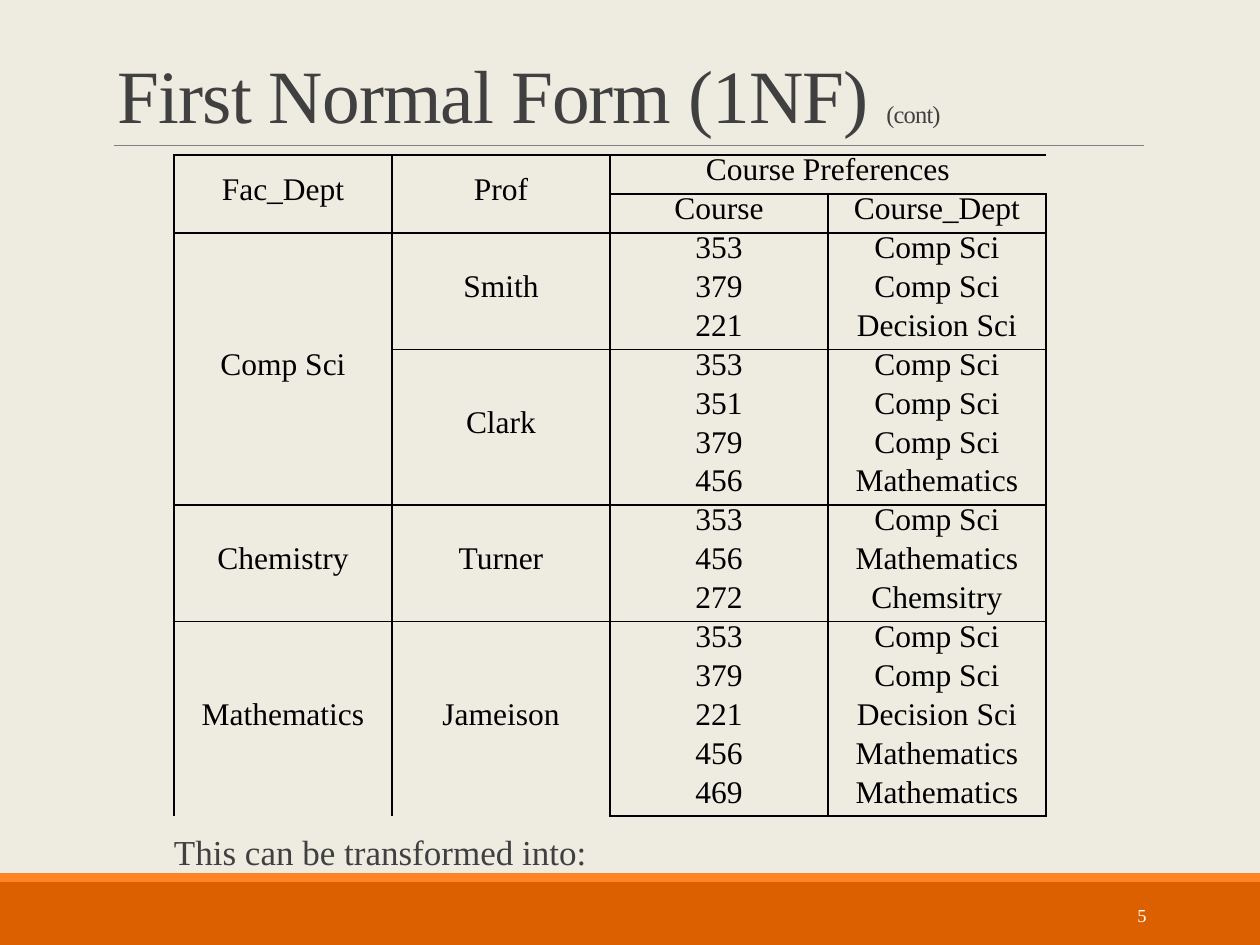
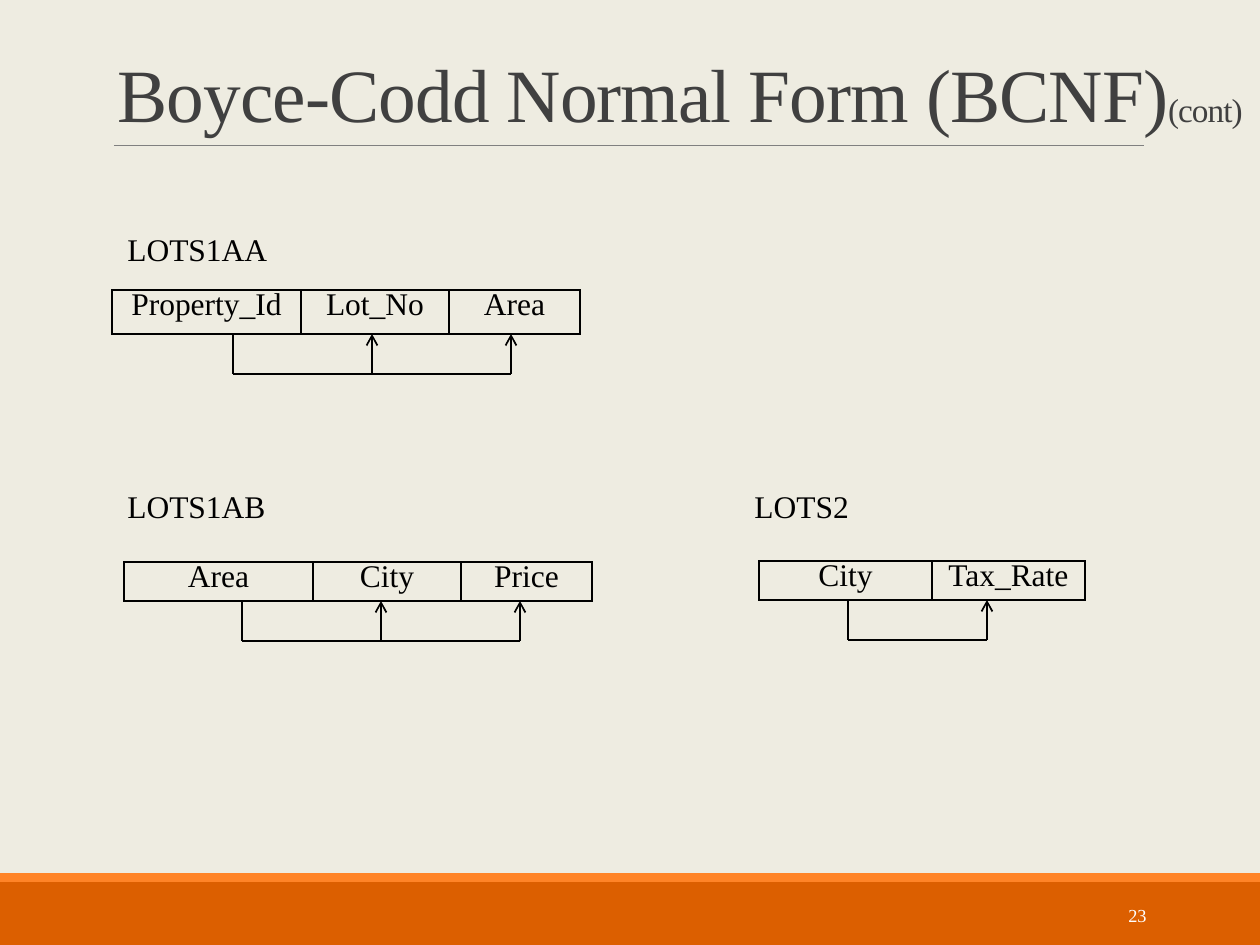
import pptx
import pptx.dml.color
import pptx.enum.shapes
import pptx.enum.text
import pptx.oxml
import pptx.oxml.ns
import pptx.util
from lxml import etree

EMU_PER_PX = 914400 / 126
SLIDE_WIDTH, SLIDE_HEIGHT = 1260, 945
FONT = "Times New Roman"
COLORS = {
    "background": "EEECE1",
    "band": "DC5F00",
    "stripe": "FF8427",
    "rule": "808080",
    "heading": "404040",
    "ink": "000000",
    "number": "FFFFFF",
}
ANCHOR = pptx.enum.text.MSO_ANCHOR
ALIGN = pptx.enum.text.PP_ALIGN
ROW_HEIGHT = 35
WIRE_STEP, WIRE_DROP = 139, 40

PREFERENCES = [
    ("Comp Sci", [
        ("Smith", [("353", "Comp Sci"), ("379", "Comp Sci"), ("221", "Decision Sci")]),
        ("Clark", [("353", "Comp Sci"), ("351", "Comp Sci"), ("379", "Comp Sci"),
                   ("456", "Mathematics")]),
    ]),
    ("Chemistry", [
        ("Turner", [("353", "Comp Sci"), ("456", "Mathematics"), ("272", "Chemsitry")]),
    ]),
    ("Mathematics", [
        ("Jameison", [("353", "Comp Sci"), ("379", "Comp Sci"), ("221", "Decision Sci"),
                      ("456", "Mathematics"), ("469", "Mathematics")]),
    ]),
]

RELATIONS = [
    {"name": "LOTS1AA", "label": (115, 224), "table": (112, 290), "height": 44,
     "fields": [("Property_Id", 189), ("Lot_No", 148), ("Area", 131)], "wire": 121},
    {"name": "LOTS1AB", "label": (115, 481), "table": (124, 562), "height": 39,
     "fields": [("Area", 189), ("City", 148), ("Price", 131)], "wire": 118},
    {"name": "LOTS2", "label": (742, 481), "table": (759, 561), "height": 39,
     "fields": [("City", 173), ("Tax_Rate", 153)], "wire": 89},
]


def px(length):
    return pptx.util.Emu(round(length * EMU_PER_PX))


def px_box(box):
    return [px(length) for length in box]


def color(name):
    return pptx.dml.color.RGBColor.from_string(COLORS[name])


def add_run(paragraph, text, size, color_name):
    run = paragraph.add_run()
    run.text = text
    run.font.name = FONT
    run.font.size = pptx.util.Pt(size)
    run.font.color.rgb = color(color_name)
    return run


def add_text(slide, box, text, size, color_name, align=ALIGN.LEFT, anchor=ANCHOR.TOP):
    text_box = slide.shapes.add_textbox(*px_box(box))
    frame = text_box.text_frame
    frame.word_wrap = True
    frame.vertical_anchor = anchor
    paragraph = frame.paragraphs[0]
    paragraph.alignment = align
    add_run(paragraph, text, size, color_name)
    return text_box


def add_band(slide, box, color_name):
    band = slide.shapes.add_shape(pptx.enum.shapes.MSO_SHAPE.RECTANGLE, *px_box(box))
    band.shadow.inherit = False
    band.fill.solid()
    band.fill.fore_color.rgb = color(color_name)
    band.line.fill.background()


def add_line(shapes, start, end, color_name="ink", width=1, arrow=False):
    line = shapes.add_connector(
        pptx.enum.shapes.MSO_CONNECTOR.STRAIGHT, *px_box(start + end))
    line.line.color.rgb = color(color_name)
    line.line.width = pptx.util.Pt(width)
    if arrow:
        tail = etree.SubElement(line.line._get_or_add_ln(), pptx.oxml.ns.qn("a:tailEnd"))
        tail.set("type", "arrow")
    etree.SubElement(line._element.spPr, pptx.oxml.ns.qn("a:effectLst"))


def add_title(slide, box, heading, suffix, suffix_size):
    title = slide.shapes.title
    title.left, title.top, title.width, title.height = px_box(box)
    frame = title.text_frame
    frame.word_wrap = True
    frame.auto_size = pptx.enum.text.MSO_AUTO_SIZE.NONE
    frame.vertical_anchor = ANCHOR.BOTTOM
    paragraph = frame.paragraphs[0]
    paragraph.alignment = ALIGN.LEFT
    paragraph.line_spacing = 0.85
    for text, size in ((heading, 43), (suffix, suffix_size)):
        run = add_run(paragraph, text, size, "heading")
        run.font._element.set("spc", "-50")


def add_base_slide(presentation, number):
    slide = presentation.slides.add_slide(presentation.slide_layouts.get_by_name("Title Only"))
    add_band(slide, (0, 882, SLIDE_WIDTH, SLIDE_HEIGHT - 882), "band")
    add_band(slide, (0, 873, SLIDE_WIDTH, 9), "stripe")
    add_line(slide.shapes, (114, 145), (1144, 145), "rule", 0.5)
    add_text(slide, (1023, 890, 136, 50), number, 10.5, "number", ALIGN.RIGHT, ANCHOR.MIDDLE)
    return slide


def add_plain_table(slide, left, top, widths, row_count, row_height):
    table = slide.shapes.add_table(
        row_count, len(widths),
        *px_box((left, top, sum(widths), row_count * row_height))).table
    table.first_row = False
    table.horz_banding = False
    for column, width in zip(table.columns, widths):
        column.width = px(width)
    for row in table.rows:
        row.height = px(row_height)
    return table


def set_borders(cell, sides):
    properties = cell._tc.get_or_add_tcPr()
    for side in "LRTB":
        border = etree.SubElement(properties, pptx.oxml.ns.qn(f"a:ln{side}"), w="12700")
        if side in sides:
            fill = etree.SubElement(border, pptx.oxml.ns.qn("a:solidFill"))
            etree.SubElement(fill, pptx.oxml.ns.qn("a:srgbClr"), val=COLORS["ink"])
        else:
            etree.SubElement(border, pptx.oxml.ns.qn("a:noFill"))
    cell.fill.background()


def outline_block(table, row, column, row_span=1, column_span=1):
    for i in range(row_span):
        for j in range(column_span):
            sides = [side for side, outer in (
                ("L", j == 0), ("R", j == column_span - 1),
                ("T", i == 0), ("B", i == row_span - 1)) if outer]
            set_borders(table.cell(row + i, column + j), sides)


def write_cell(cell, text, anchor):
    cell.vertical_anchor = anchor
    paragraph = cell.text_frame.paragraphs[0]
    paragraph.alignment = ALIGN.CENTER
    paragraph.line_spacing = pptx.util.Pt(15)
    add_run(paragraph, text, 18, "ink")


def add_merged_cell(table, text, row, column, row_span=1, column_span=1):
    outline_block(table, row, column, row_span, column_span)
    origin = table.cell(row, column)
    if row_span * column_span > 1:
        origin.merge(table.cell(row + row_span - 1, column + column_span - 1))
    write_cell(origin, text, ANCHOR.MIDDLE)


def add_preferences_table(slide, left, top, column_width):
    row_count = 2 + sum(len(courses) for _, profs in PREFERENCES for _, courses in profs)
    table = add_plain_table(slide, left, top, [column_width] * 4, row_count, ROW_HEIGHT)
    add_merged_cell(table, "Fac_Dept", 0, 0, row_span=2)
    add_merged_cell(table, "Prof", 0, 1, row_span=2)
    add_merged_cell(table, "Course Preferences", 0, 2, column_span=2)
    add_merged_cell(table, "Course", 1, 2)
    add_merged_cell(table, "Course_Dept", 1, 3)
    row = 2
    for department, profs in PREFERENCES:
        department_span = sum(len(courses) for _, courses in profs)
        add_merged_cell(table, department, row, 0, department_span)
        for prof, courses in profs:
            add_merged_cell(table, prof, row, 1, len(courses))
            for column in (2, 3):
                outline_block(table, row, column, len(courses))
                for offset, course in enumerate(courses):
                    write_cell(table.cell(row + offset, column), course[column - 2],
                               ANCHOR.BOTTOM)
            row += len(courses)


def add_dependency_wires(slide, left, top, count):
    group = slide.shapes.add_group_shape()
    bottom = top + WIRE_DROP
    add_line(group.shapes, (left, bottom), (left + WIRE_STEP * (count - 1), bottom))
    for index in range(count):
        x = left + WIRE_STEP * index
        add_line(group.shapes, (x, bottom), (x, top), arrow=index > 0)


def add_relation(slide, relation):
    left, top = relation["table"]
    fields, height = relation["fields"], relation["height"]
    add_text(slide, relation["label"] + (189, 50), relation["name"], 18, "ink")
    table = add_plain_table(slide, left, top, [width for _, width in fields], 1, height)
    for column, (field, _) in enumerate(fields):
        outline_block(table, 0, column)
        write_cell(table.cell(0, column), field, ANCHOR.TOP)
    add_dependency_wires(slide, left + relation["wire"], top + height, len(fields))


def add_first_normal_form_slide(presentation):
    slide = add_base_slide(presentation, "5")
    add_title(slide, (105, 37, 1134, 108), "First Normal Form (1NF) ", "(cont)", 14)
    add_preferences_table(slide, 174, 155, 218)
    closing = add_text(slide, (174, 829, 1134, 73), "This can be transformed into:", 20, "heading")
    closing.text_frame.margin_left = closing.text_frame.margin_right = 0
    closing.text_frame.paragraphs[0].line_spacing = 0.9


def add_boyce_codd_slide(presentation):
    slide = add_base_slide(presentation, "23")
    add_title(slide, (105, -14, 1230, 158), "Boyce-Codd Normal Form (BCNF)", "(cont)", 19)
    for relation in RELATIONS:
        add_relation(slide, relation)


def main():
    presentation = pptx.Presentation()
    presentation.slide_width = px(SLIDE_WIDTH)
    presentation.slide_height = px(SLIDE_HEIGHT)
    background = presentation.slide_master.background.fill
    background.solid()
    background.fore_color.rgb = color("background")
    add_first_normal_form_slide(presentation)
    add_boyce_codd_slide(presentation)
    presentation.save("out.pptx")


if __name__ == "__main__":
    main()
